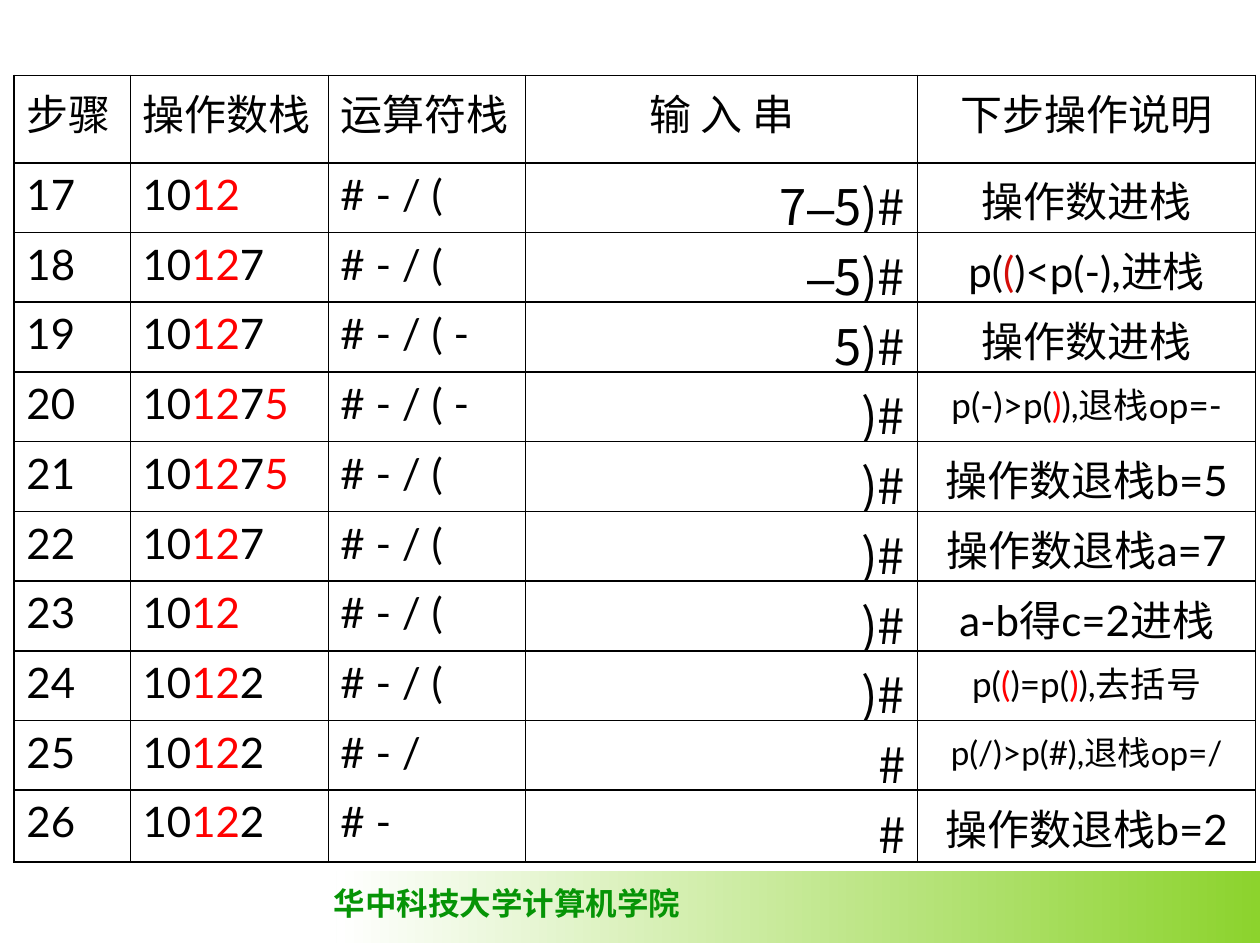
import dataclasses

import lxml.etree
import pptx
import pptx.dml.color
import pptx.enum.shapes
import pptx.enum.text
import pptx.oxml.ns
import pptx.util

Cm = pptx.util.Cm
Pt = pptx.util.Pt
ALIGN = pptx.enum.text.PP_ALIGN

LEFT, WIDE = 0.28, (2.34, 3.99, 3.99, 7.9, 6.81)
SIDES = (ALIGN.LEFT, ALIGN.LEFT, ALIGN.LEFT, ALIGN.RIGHT, ALIGN.CENTER)
HEAD_TOP, HEAD_TALL = 1.52, 1.8
FIRST, LAST, TALL = 3.28, 15.93, 1.45
BLACK, WHITE, RED = "000000", "FFFFFF", "FF0000"


@dataclasses.dataclass
class Step:
    """One parsing step; text between asterisks is marked in colour."""
    nums: str
    ops: str
    rest: str
    note: str
    size: float = 24
    mark: str = RED


HEADS = ("步骤", "操作数栈", "运算符栈", "输 入 串", "下步操作说明")
START = 17
STEPS = (
    Step("10*12*", "# - / (", "7–5)#", "操作数进栈"),
    Step("10*12*7", "# - / (", "–5)#", "p(*(*)<p(-),进栈", mark="D40D08"),
    Step("10*12*7", "# - / ( -", "5)#", "操作数进栈"),
    Step("10*12*7*5*", "# - / ( -", ")#", "p(-)>p(*)*),退栈op=-", 20),
    Step("10*12*7*5*", "# - / (", ")#", "操作数退栈b=5"),
    Step("10*12*7", "# - / (", ")#", "操作数退栈a=7"),
    Step("10*12*", "# - / (", ")#", "a-b得c=2进栈"),
    Step("10*12*2", "# - / (", ")#", "p(*(*)=p(*)*),去括号", 20),
    Step("10*12*2", "# - /", "#", "p(/)>p(#),退栈op=/", 19),
    Step("10*12*2", "# -", "#", "操作数退栈b=2"),
)


def tint(code: str) -> pptx.dml.color.RGBColor:
    return pptx.dml.color.RGBColor.from_string(code)


def add_run(para, text: str, size: float, face: str, code: str, bold: bool = False) -> None:
    if not text:
        return
    run = para.add_run()
    run.text = text
    run.font.size = Pt(size)
    run.font.name = face
    run.font.bold = bold
    run.font.color.rgb = tint(code)


def add_marked(para, text: str, size: float, mark: str = RED) -> None:
    for i, part in enumerate(text.split("*")):
        add_run(para, part, size, "Lato", mark if i % 2 else BLACK)


def add_input(para, text: str) -> None:
    """Input string, with its minus sign in its own face."""
    lead, dash, tail = text.partition("–")
    for part, face in ((lead, "Noto Sans CJK SC"), (dash, "Arial"),
                       (tail, "Noto Sans CJK SC")):
        add_run(para, part, 28, face, BLACK)


def edge(cell, side: str, width: float) -> None:
    tag = pptx.oxml.ns.qn
    line = lxml.etree.SubElement(cell._tc.get_or_add_tcPr(), tag("a:ln" + side),
                                 w=str(int(Pt(width))))
    fill = lxml.etree.SubElement(line, tag("a:solidFill"))
    lxml.etree.SubElement(fill, tag("a:srgbClr"), val=BLACK)


def add_row(slide, top: float, tall: float) -> list:
    """Draw a one-row table and return its empty paragraphs."""
    table = slide.shapes.add_table(1, len(WIDE), Cm(LEFT), Cm(top),
                                   Cm(sum(WIDE)), Cm(tall)).table
    table.first_row = table.horz_banding = False
    table.rows[0].height = Cm(tall)
    paras = []
    for i, (wide, side) in enumerate(zip(WIDE, SIDES)):
        table.columns[i].width = Cm(wide)
        cell = table.cell(0, i)
        edge(cell, "L", 1.08 if i == 0 else 0.45)
        edge(cell, "R", 1.08 if i == len(WIDE) - 1 else 0.45)
        edge(cell, "T", 1.08)
        edge(cell, "B", 1.08)
        cell.fill.solid()
        cell.fill.fore_color.rgb = tint(WHITE)
        cell.margin_bottom = 0
        para = cell.text_frame.paragraphs[0]
        para.alignment = side
        paras.append(para)
    return paras


def add_foot(slide) -> None:
    band = slide.shapes.add_shape(pptx.enum.shapes.MSO_SHAPE.RECTANGLE,
                                  Cm(6.78), Cm(17.55), Cm(18.62), Cm(1.47))
    band.shadow.inherit = False
    band.line.fill.background()
    band.fill.gradient()
    band.fill.gradient_angle = 180
    for stop, code in zip(band.fill.gradient_stops, ("8CD32D", WHITE)):
        stop.color.rgb = tint(code)
    box = slide.shapes.add_textbox(Cm(6.48), Cm(17.7), Cm(7.49), Cm(1.02))
    box.text_frame.word_wrap = False
    add_run(box.text_frame.paragraphs[0], "华中科技大学计算机学院", 18,
            "Times New Roman", "069406", True)


def main() -> None:
    deck = pptx.Presentation()
    deck.slide_width, deck.slide_height = Cm(25.4), Cm(19.05)
    slide = deck.slides.add_slide(deck.slide_layouts[6])
    add_foot(slide)

    # Column headings
    paras = add_row(slide, HEAD_TOP, HEAD_TALL)
    paras[3].alignment = ALIGN.CENTER
    for para, text in zip(paras, HEADS):
        add_marked(para, text, 24)

    # Steps, evenly spaced
    pitch = (LAST - FIRST) / (len(STEPS) - 1)
    for i, step in enumerate(STEPS):
        num, nums, ops, rest, note = add_row(slide, FIRST + i * pitch, TALL)
        add_marked(num, str(START + i), 24)
        add_marked(nums, step.nums, 24)
        add_marked(ops, step.ops, 24)
        add_input(rest, step.rest)
        add_marked(note, step.note, step.size, step.mark)

    deck.save("out.pptx")


if __name__ == "__main__":
    main()
